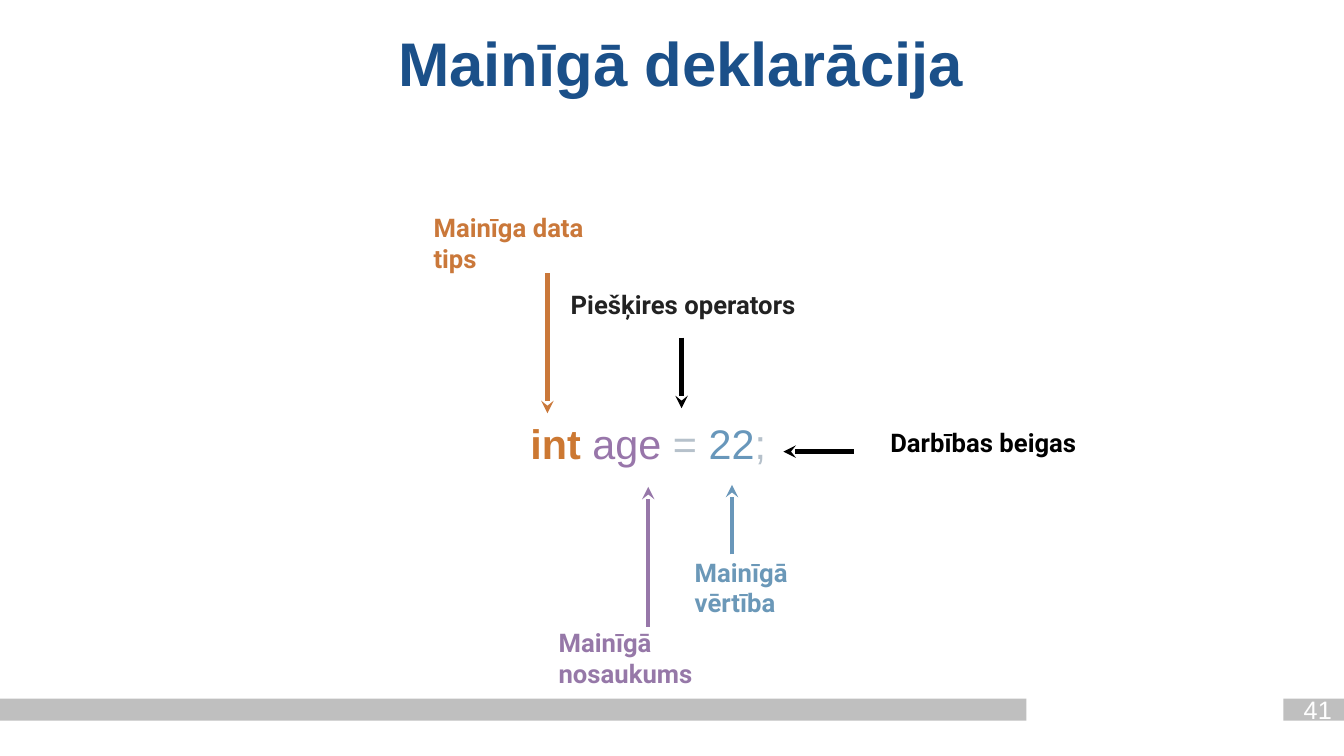
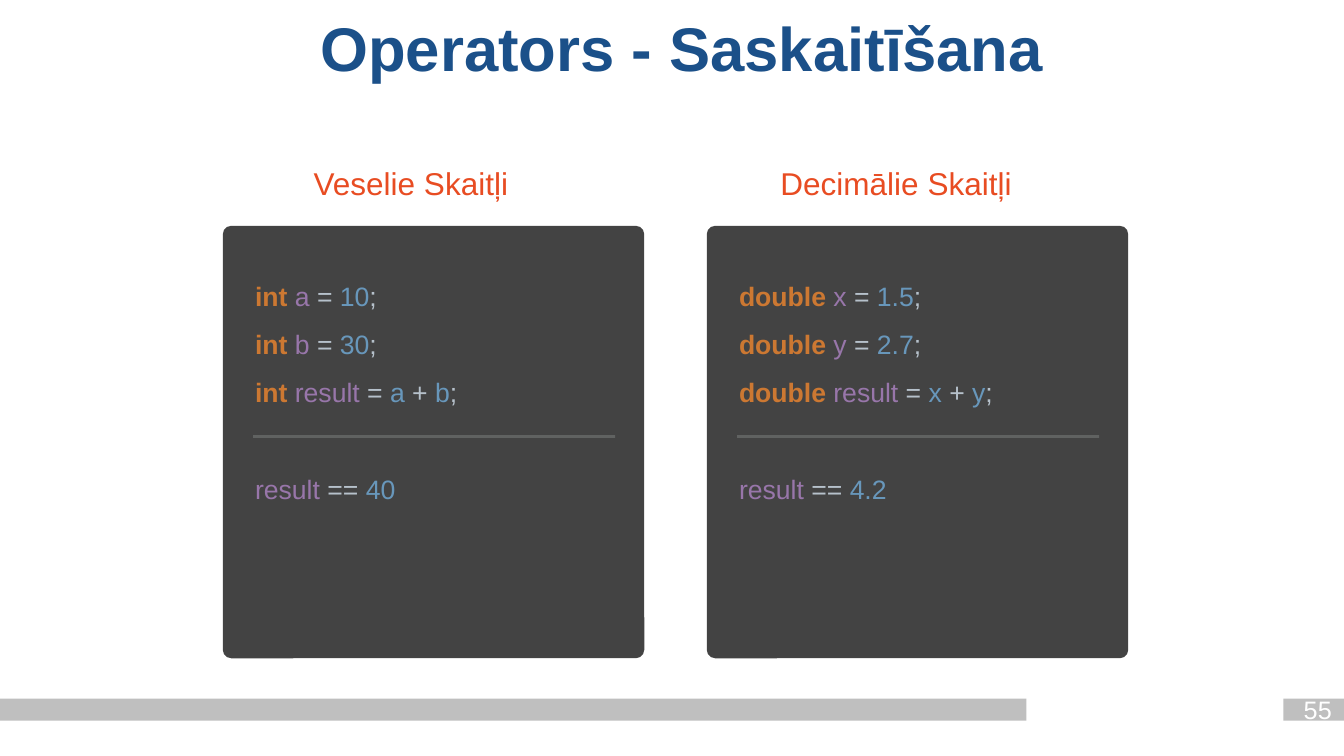
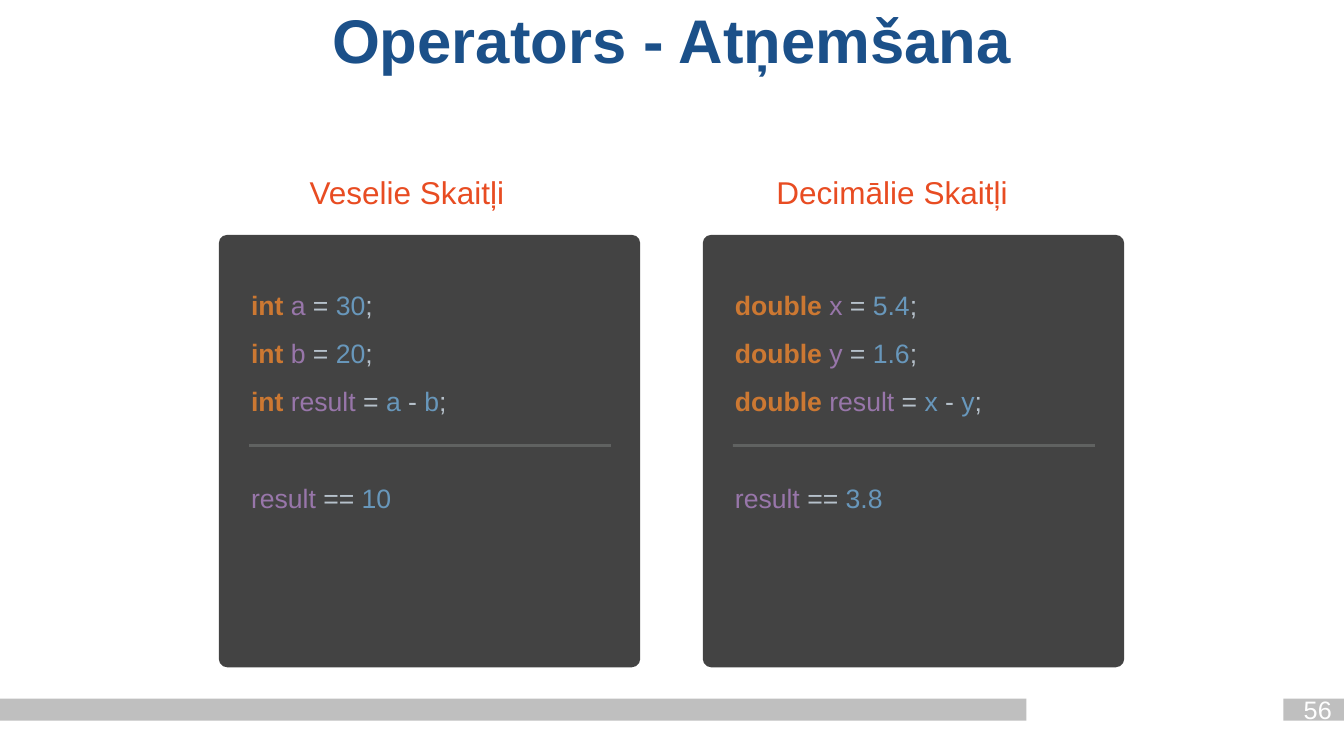
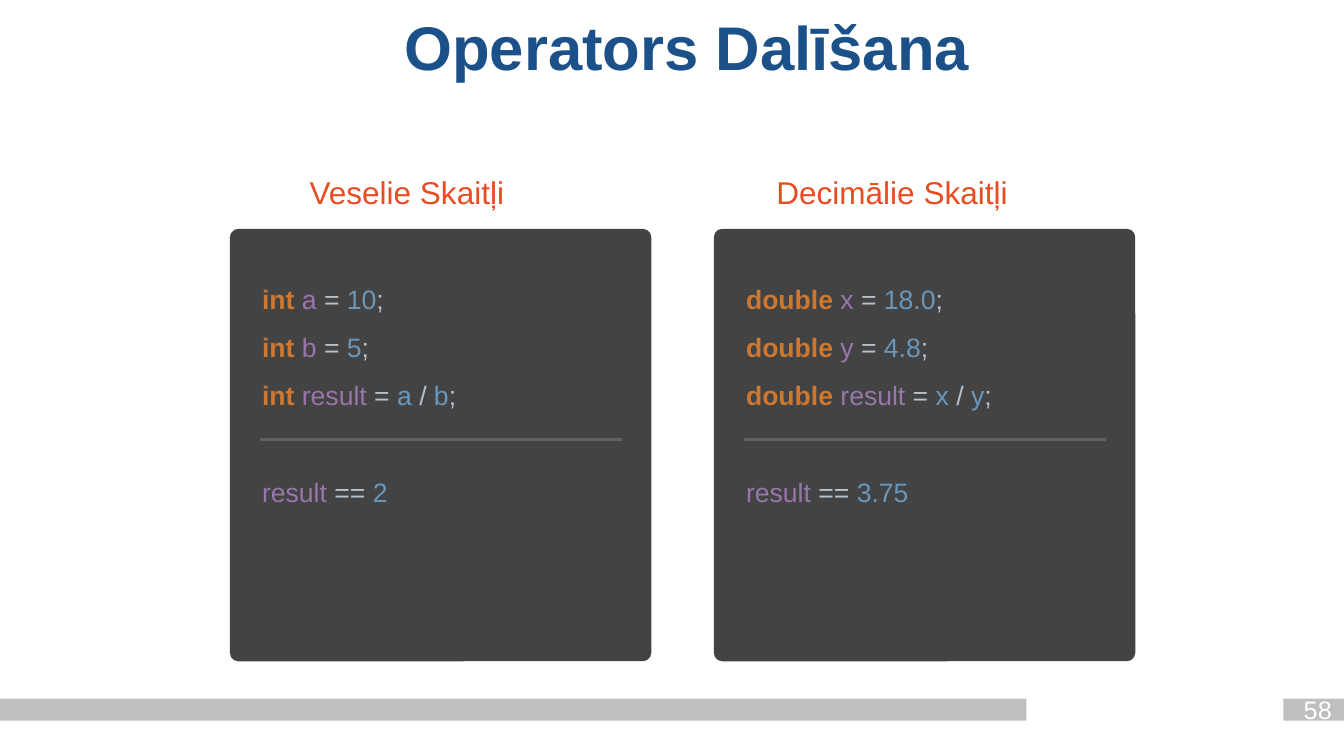
"""Builds four slides on declaring variables and on arithmetic operators."""
import pptx
import pptx.dml.color
import pptx.enum.shapes
import pptx.enum.text
import pptx.oxml
import pptx.oxml.ns
import pptx.util

PX = 9144
WIDE, HIGH = 1333, 750
BLUE, BAND, CARD, RULE = "1B5089", "BFBFBF", "434343", "A6AAA9"
TYPE, NAME, SIGN, VALUE = "CC7832", "9876AA", "B6C1CB", "6897BB"
HEAD, BLACK, WHITE = "E84C22", "000000", "FFFFFF"
TIGHT, LOOSE = (4, 4), (10, 5)

hue = pptx.dml.color.RGBColor.from_string
qn = pptx.oxml.ns.qn
KIND = pptx.enum.shapes.MSO_SHAPE
ALIGN = pptx.enum.text.PP_ALIGN
ANCHOR = pptx.enum.text.MSO_ANCHOR
FIT = pptx.enum.text.MSO_AUTO_SIZE


def write(slide, box, lines, size, font="Arial", align=ALIGN.LEFT, space=1.0,
          inset=TIGHT, anchor=ANCHOR.MIDDLE):
    """Add a text box; each line is a list of (text, colour, bold) parts."""
    frame = slide.shapes.add_textbox(*[n * PX for n in box]).text_frame
    frame.word_wrap = True
    frame.vertical_anchor = anchor
    frame.auto_size = FIT.SHAPE_TO_FIT_TEXT if inset == TIGHT else FIT.NONE
    frame.margin_left = frame.margin_right = inset[0] * PX
    frame.margin_top = frame.margin_bottom = inset[1] * PX
    for i, line in enumerate(lines):
        para = frame.add_paragraph() if i else frame.paragraphs[0]
        para.alignment = align
        para.line_spacing = space
        for text, tint, bold in line:
            run = para.add_run()
            run.text = text
            run.font.name = font
            run.font.size = pptx.util.Pt(size)
            run.font.bold = bold
            run.font.color.rgb = hue(tint)


def draw(slide, ends, tint, width):
    """Add a straight line without shadow and return its a:ln element."""
    line = slide.shapes.add_connector(
        pptx.enum.shapes.MSO_CONNECTOR.STRAIGHT, *[n * PX for n in ends])
    line.line.width = pptx.util.Pt(width)
    line.line.color.rgb = hue(tint)
    props = line._element.spPr
    pptx.oxml.ns.nsdecls("a")
    props.append(pptx.oxml.parse_xml(f"<a:effectLst {pptx.oxml.ns.nsdecls('a')}/>"))
    return props.find(qn("a:ln"))


deck = pptx.Presentation()
deck.slide_width, deck.slide_height = WIDE * PX, HIGH * PX

pages = [
    ("Mainīgā deklarācija", "41", (35, 31, 1281, 70)),
    ("Operators - Saskaitīšana", "55", (36, 8, 1281, 87)),
    ("Operators - Atņemšana", "56", (26, 0, 1281, 87)),
    ("Operators Dalīšana", "58", (41, 7, 1281, 87)),
]
slides = []
for title, number, box in pages:
    slide = deck.slides.add_slide(deck.slide_layouts[6])
    slides.append(slide)
    for left, width in [(0, 1018), (1273, 60)]:
        band = slide.shapes.add_shape(
            KIND.RECTANGLE, left * PX, 693 * PX, width * PX, 22 * PX)
        band.shadow.inherit = False
        band.fill.solid()
        band.fill.fore_color.rgb = hue(BAND)
        band.line.fill.background()
    write(slide, box, [[(title, BLUE, True)]], 44, align=ALIGN.CENTER,
          space=0.9, inset=LOOSE)
    write(slide, (1274, 684, 66, 36), [[(number, WHITE, False)]], 18,
          align=ALIGN.CENTER, inset=LOOSE, anchor=ANCHOR.TOP)

first = slides[0]
write(first, (461, 410, 364, 58),
      [[("int ", TYPE, True), ("age", NAME, False), (" = ", SIGN, False),
        ("22", VALUE, False), (";", SIGN, False)]], 29.5, align=ALIGN.CENTER)

labels = [
    ("Mainīga data tips", "CA783A", (426, 221, 192, 39)),
    ("Mainīgā nosaukums", "9678A8", (550, 633, 221, 39)),
    ("Piešķires operators", "222222", (562, 282, 246, 39)),
    ("Mainīgā vērtība", "6B98B8", (685, 563, 175, 39)),
    ("Darbības beigas", BLACK, (879, 419, 206, 39)),
]
for text, tint, box in labels:
    write(first, box, [[(text, tint, True)]], 18.3, font="Roboto")

arrows = [
    ("CA783A", (543, 271, 543, 410)),
    ("9777A9", (643, 622, 643, 483)),
    (BLACK, (676, 335, 676, 405)),
    ("6997BA", (726, 550, 726, 481)),
    (BLACK, (847, 448, 777, 448)),
]
for tint, ends in arrows:
    stroke = draw(first, ends, tint, 3)
    stroke.makeelement(qn("a:tailEnd"), {})
    stroke.append(stroke.makeelement(qn("a:tailEnd"), {"type": "stealth"}))

sums = [
    ("+", (221, 224), (307, 158), ("10", "30", "40"), ("1.5", "2.7", "4.2")),
    ("-", (217, 233), (303, 167), ("30", "20", "10"), ("5.4", "1.6", "3.8")),
    ("/", (228, 227), (303, 167), ("10", "5", "2"), ("18.0", "4.8", "3.75")),
]
for slide, (sign, card, head, whole, real) in zip(slides[1:], sums):
    sides = [
        ("Veselie Skaitļi", "int ", "ab", whole, 204),
        ("Decimālie Skaitļi", "double ", "xy", real, 266),
    ]
    for i, (text, kind, names, values, width) in enumerate(sides):
        left, top = card[0] + 480 * i, card[1]
        panel = slide.shapes.add_shape(
            KIND.ROUNDED_RECTANGLE, left * PX, top * PX, 418 * PX, 429 * PX)
        panel.adjustments[0] = 0.02
        panel.shadow.inherit = False
        panel.fill.solid()
        panel.fill.fore_color.rgb = hue(CARD)
        panel.line.fill.background()

        write(slide, (head[0] + 463 * i, head[1], width, 46),
              [[(text, HEAD, False)]], 22.5)

        code = [[(kind, TYPE, True), (name, NAME, False), (" = ", SIGN, False),
                 (value, VALUE, False), (";", SIGN, False)]
                for name, value in zip(names, values)]
        code.append([(kind, TYPE, True), ("result", NAME, False),
                     (" = ", SIGN, False), (names[0] + " ", VALUE, False),
                     (sign, SIGN, False), (" " + names[1], VALUE, False),
                     (";", SIGN, False)])
        write(slide, (left + 28, top + 33, 364, 152), code, 19, space=1.5)

        stroke = draw(slide, (left + 30, top + 209, left + 389, top + 209), RULE, 2)
        tone = stroke.find(".//" + qn("a:srgbClr"))
        tone.append(tone.makeelement(qn("a:alpha"), {"val": "30000"}))

        write(slide, (left + 28, top + 225, 364, 56),
              [[("result", NAME, False), (" == ", SIGN, False),
                (values[2], VALUE, False)]], 19, space=1.5)

deck.save("out.pptx")
